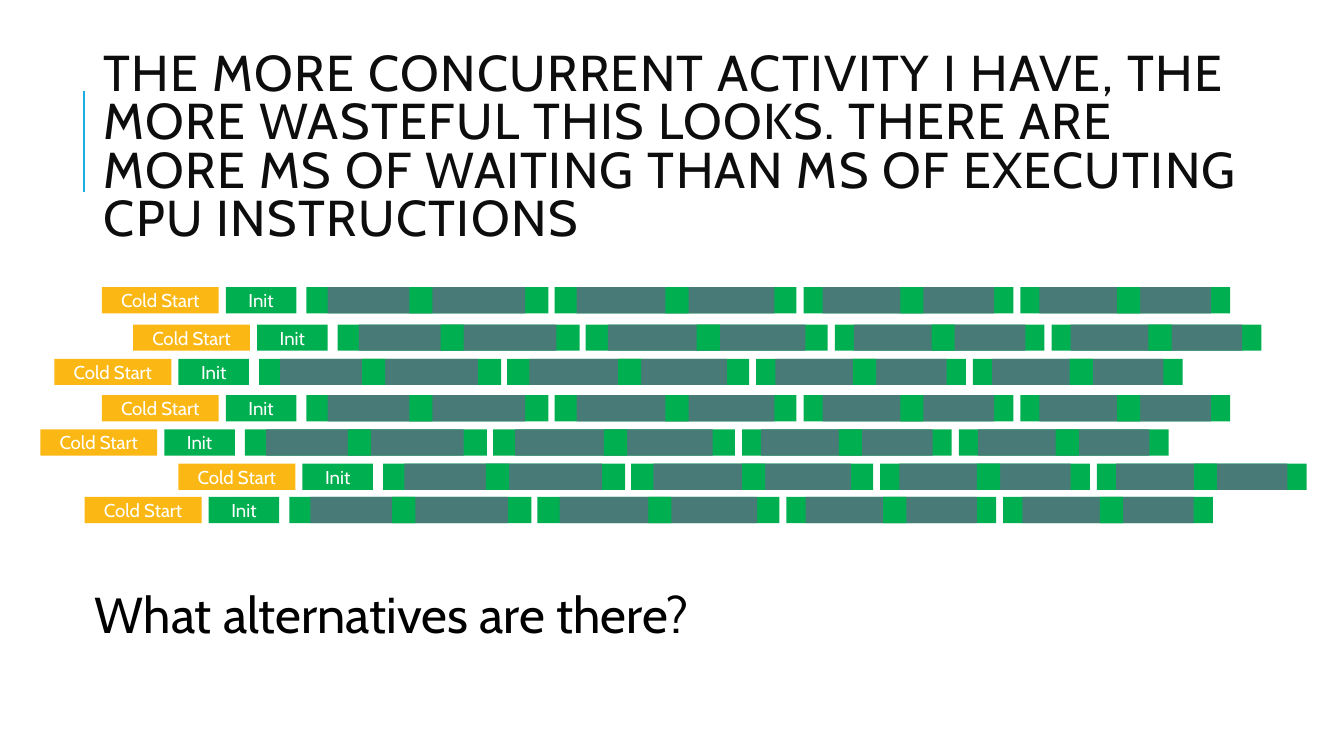
from dataclasses import dataclass

from pptx import Presentation
from pptx.dml.color import RGBColor
from pptx.enum.shapes import MSO_CONNECTOR, MSO_SHAPE
from pptx.enum.text import MSO_ANCHOR, PP_ALIGN
from pptx.oxml.ns import qn
from pptx.slide import Slide
from pptx.text.text import TextFrame
from pptx.util import Inches, Pt
from lxml.etree import SubElement

FONT = "Cabin"
COLD_START, RUNNING, WAITING = "FBB815", "00B050", "487B78"
BAR_HEIGHT = 0.26


@dataclass(frozen=True)
class Segment:
    """A bar whose offset is measured from the start of its timeline."""
    offset: float
    width: float
    fill: str
    label: str = ""


@dataclass(frozen=True)
class Timeline:
    left: float
    top: float


@dataclass(frozen=True)
class TextBox:
    text: str
    left: float
    top: float
    width: float
    height: float
    color: str
    anchor: MSO_ANCHOR
    inset_x: float
    inset_y: float
    line_spacing: float = 1.0
    letter_spacing: int = 0


SEGMENTS = [
    Segment(0, 1.16, COLD_START, "Cold Start"),
    Segment(1.23, 0.7, RUNNING, "Init"),
    *(Segment(offset, width, RUNNING)
      for offset, width in [(2.03, 2.4), (4.49, 2.4), (6.96, 2.08), (9.11, 2.08)]),
    *(Segment(offset, width, WAITING)
      for offset, width in [(2.24, 1.96), (4.71, 1.96), (7.15, 1.7), (9.3, 1.7)]),
    *(Segment(offset, 0.23, RUNNING) for offset in (3.05, 5.59, 7.92, 10.07)),
]

TIMELINES = [
    Timeline(1.01, 2.85),
    Timeline(1.32, 3.22),
    Timeline(0.54, 3.56),
    Timeline(1.01, 3.92),
    Timeline(0.4, 4.26),
    Timeline(1.77, 4.6),
    Timeline(0.84, 4.93),
]

TEXT_BOXES = [
    TextBox("THE MORE CONCURRENT ACTIVITY I HAVE, THE MORE WASTEFUL THIS LOOKS. "
            "THERE ARE MORE MS OF WAITING THAN MS OF EXECUTING CPU INSTRUCTIONS",
            0.93, 0.45, 11.48, 2.07, "0D0D0D", MSO_ANCHOR.MIDDLE, 0.1, 0.05, 0.8, 100),
    TextBox("What alternatives are there?",
            0.86, 5.74, 11.48, 0.78, "000000", MSO_ANCHOR.TOP, 0.08, 0.04),
]


def rgb(color: str) -> RGBColor:
    return RGBColor.from_string(color)


def write_text(frame: TextFrame, text: str, size: float, color: str,
               frame_format: dict[str, object], paragraph_format: dict[str, object],
               letter_spacing: int = 0) -> None:
    for name, value in frame_format.items():
        setattr(frame, name, value)
    paragraph = frame.paragraphs[0]
    for name, value in paragraph_format.items():
        setattr(paragraph, name, value)
    run = paragraph.add_run()
    run.text = text
    for name, value in {"name": FONT, "size": Pt(size)}.items():
        setattr(run.font, name, value)
    run.font.color.rgb = rgb(color)
    if letter_spacing:
        run.font._element.set("spc", str(letter_spacing))


def add_text_box(slide: Slide, box: TextBox) -> None:
    shape = slide.shapes.add_textbox(Inches(box.left), Inches(box.top),
                                     Inches(box.width), Inches(box.height))
    frame_format = {
        "word_wrap": True, "vertical_anchor": box.anchor,
        "margin_left": Inches(box.inset_x), "margin_right": Inches(box.inset_x),
        "margin_top": Inches(box.inset_y), "margin_bottom": Inches(box.inset_y),
    }
    write_text(shape.text_frame, box.text, 36, box.color, frame_format,
               {"line_spacing": box.line_spacing}, box.letter_spacing)


def add_segment(slide: Slide, timeline: Timeline, segment: Segment) -> None:
    shape = slide.shapes.add_shape(
        MSO_SHAPE.RECTANGLE, Inches(timeline.left + segment.offset), Inches(timeline.top),
        Inches(segment.width), Inches(BAR_HEIGHT))
    shape.shadow.inherit = False
    shape.fill.solid()
    shape.fill.fore_color.rgb = rgb(segment.fill)
    shape.line.fill.background()
    if segment.label:
        margins = {f"margin_{side}": 0 for side in ("left", "right", "top", "bottom")}
        write_text(shape.text_frame, segment.label, 13.3, "FFFFFF",
                   {"vertical_anchor": MSO_ANCHOR.MIDDLE, **margins},
                   {"alignment": PP_ALIGN.CENTER})


def add_accent_line(slide: Slide) -> None:
    line = slide.shapes.add_connector(MSO_CONNECTOR.STRAIGHT, Inches(0.83), Inches(1.9),
                                      Inches(0.83), Inches(0.9))
    line.line.color.rgb = rgb("1CADE4")
    line.line.width = Pt(1.5)
    SubElement(line._element.spPr, qn("a:effectLst"))


def main() -> None:
    presentation = Presentation()
    presentation.slide_width = Inches(13.33)
    presentation.slide_height = Inches(7.5)
    slide = presentation.slides.add_slide(presentation.slide_layouts[6])
    add_accent_line(slide)
    for timeline in TIMELINES:
        for segment in SEGMENTS:
            add_segment(slide, timeline, segment)
    for box in TEXT_BOXES:
        add_text_box(slide, box)
    presentation.save("out.pptx")


if __name__ == "__main__":
    main()
